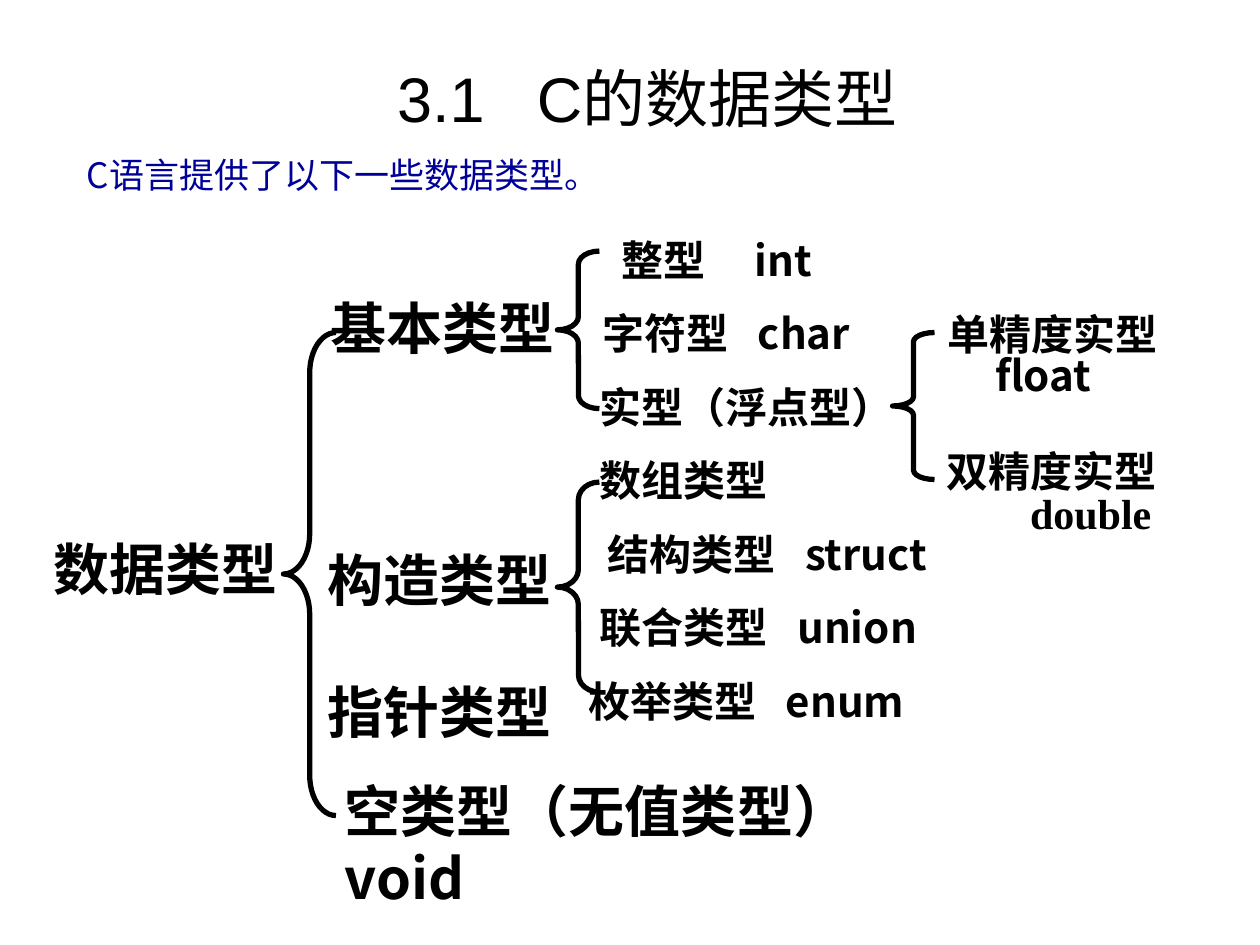
import pptx
import pptx.dml.color
import pptx.enum.shapes
import pptx.enum.text
import pptx.oxml.ns
import pptx.util
import lxml.etree

Pt = pptx.util.Pt
Align = pptx.enum.text.PP_ALIGN
BLACK = pptx.dml.color.RGBColor(0x00, 0x00, 0x00)
NAVY = pptx.dml.color.RGBColor(0x00, 0x00, 0x99)
SANS = "Noto Sans CJK SC"
SERIF = "Times New Roman"
BRANCH_SIZE = 32
LEAF_SIZE = 24


class TypeTree:
    def __init__(self, slide):
        self.slide = slide

    def style(self, paragraph, size, font, color=BLACK, bold=True):
        paragraph.font.size = Pt(size)
        paragraph.font.bold = bold
        paragraph.font.color.rgb = color
        paragraph.font.name = font
        defaults = paragraph.font._element
        east_asian = lxml.etree.SubElement(defaults, pptx.oxml.ns.qn("a:ea"))
        east_asian.set("typeface", SANS)

    def box(self, left, top, width, height):
        frame = self.slide.shapes.add_textbox(Pt(left), Pt(top), Pt(width), Pt(height)).text_frame
        frame.word_wrap = True
        return frame

    def heading(self, left, top, width, height, text, size, font, color, align):
        frame = self.box(left, top, width, height)
        line = frame.paragraphs[0]
        line.text = text
        line.alignment = align
        self.style(line, size, font, color, False)
        return frame

    def branch(self, left, top, text, width=150, align=Align.LEFT, font=SERIF):
        line = self.box(left, top, width, 46).paragraphs[0]
        line.text = text
        line.alignment = align
        line.space_before = Pt(8)
        self.style(line, BRANCH_SIZE, font)

    def leaf(self, left, top, width, name, keyword="", gap=17, font=SANS):
        line = self.box(left, top, width, 36).paragraphs[0]
        line.text = f"{name}\t{keyword}" if keyword else name
        line.space_before = Pt(6)
        if keyword:
            properties = line._p.get_or_add_pPr()
            stops = lxml.etree.SubElement(properties, pptx.oxml.ns.qn("a:tabLst"))
            stop = lxml.etree.SubElement(stops, pptx.oxml.ns.qn("a:tab"))
            stop.set("pos", str(Pt(LEAF_SIZE * len(name) + gap)))
            stop.set("algn", "l")
        self.style(line, LEAF_SIZE, font)

    def precision(self, left, top, name, keyword, indent, font):
        frame = self.box(left, top, 142, 56)
        name_line, keyword_line = frame.paragraphs[0], frame.add_paragraph()
        name_line.text, keyword_line.text = name, keyword
        name_line.line_spacing, keyword_line.line_spacing = 0.9, 0.8
        keyword_line._p.get_or_add_pPr().set("marL", str(Pt(indent)))
        for line in frame.paragraphs:
            self.style(line, LEAF_SIZE, font)

    def brace(self, left, top, width, height, bend):
        brace = self.slide.shapes.add_shape(
            pptx.enum.shapes.MSO_SHAPE.LEFT_BRACE, Pt(left), Pt(top), Pt(width), Pt(height))
        brace.adjustments[0] = bend / width
        brace.shadow.inherit = False
        brace.fill.background()
        brace.line.color.rgb = BLACK
        brace.line.width = Pt(3)


deck = pptx.Presentation()
deck.slide_width, deck.slide_height = Pt(720), Pt(540)
tree = TypeTree(deck.slides.add_slide(deck.slide_layouts[6]))

title = tree.heading(0, 26.5, 720, 58, "3.1   C的数据类型", 36, "Arial", BLACK, Align.CENTER)
title.vertical_anchor = pptx.enum.text.MSO_ANCHOR.MIDDLE
title.margin_left = Pt(27)
tree.heading(42.5, 84, 635, 108, "C语言提供了以下一些数据类型。", 20, SANS, NAVY, Align.LEFT)

tree.branch(19.5, 302, "数据类型", align=Align.CENTER)
tree.branch(182, 164, "基本类型")
tree.branch(180, 308, "构造类型")
tree.branch(180, 383.5, "指针类型")
tree.branch(190, 440, "空类型（无值类型）\vvoid", width=393, font=SANS)

LEAF_TOP, LEAF_STEP = 130.3, 42
leaves = [
    (348, 128, "整型", "int", 28, SANS),
    (337, 162, "字符型", "char", 17, SANS),
    (335.5, 190, "实型（浮点型）", "", 0, SERIF),
    (335.5, 118, "数组类型", "", 0, SERIF),
    (340, 206, "结构类型", "struct", 17, SANS),
    (335.5, 204, "联合类型", "union", 17, SANS),
    (329, 203, "枚举类型", "enum", 17, SANS),
]
for row, (left, width, name, keyword, gap, font) in enumerate(leaves):
    tree.leaf(left, LEAF_TOP + row * LEAF_STEP, width, name, keyword, gap, font)

tree.precision(534.5, 176, "单精度实型", "float", 27, SANS)
tree.precision(533.5, 254.5, "双精度实型", "double", 48, SERIF)

tree.brace(162, 190, 30, 276, 23)
tree.brace(318.5, 143.5, 24, 90, 7.5)
tree.brace(318.5, 275.5, 24, 120, 10)
tree.brace(510, 190, 24, 84, 5.25)

deck.save("out.pptx")
